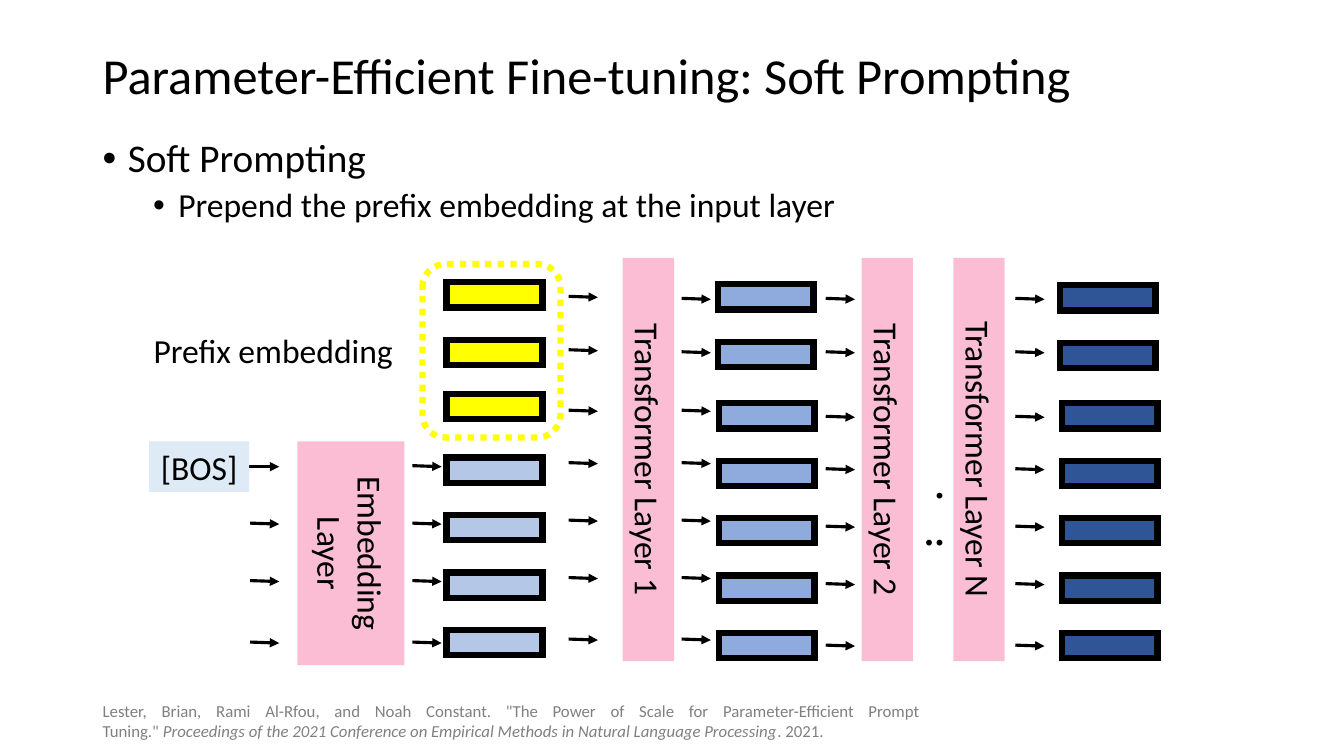
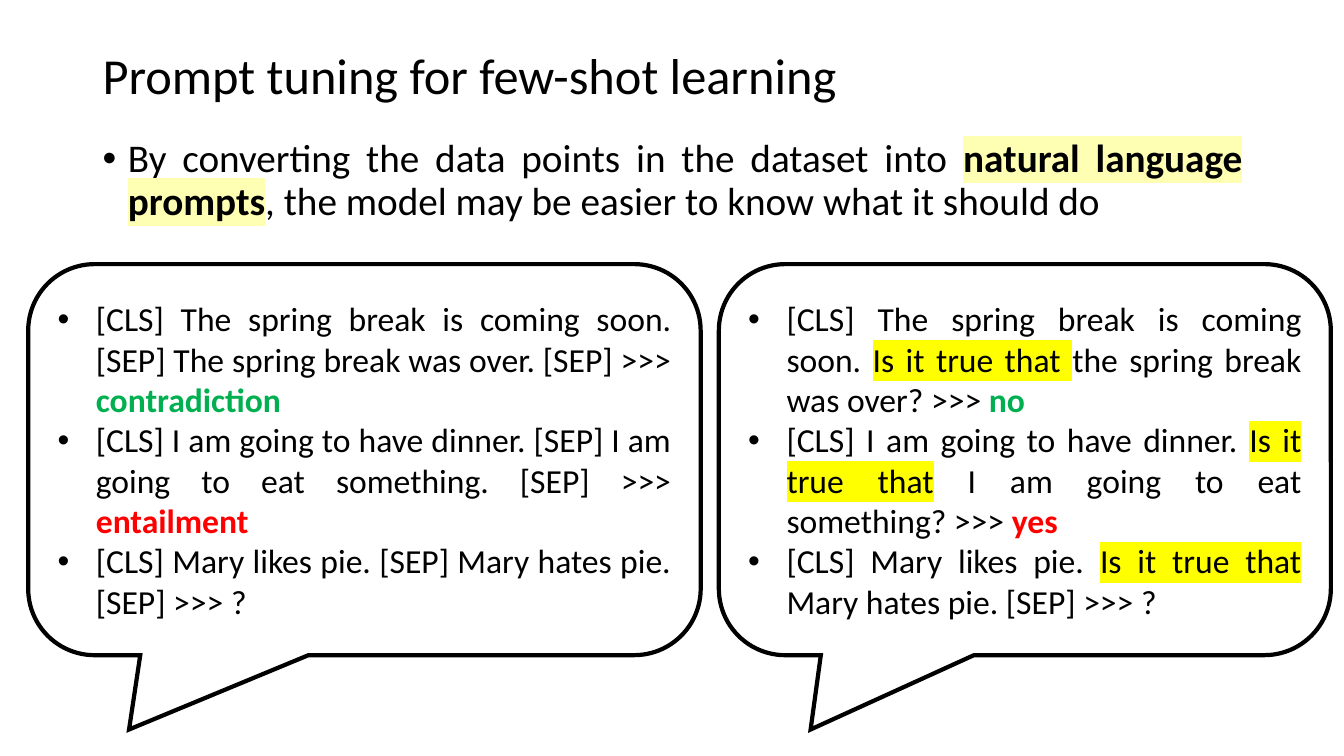
from dataclasses import dataclass

from lxml.etree import SubElement
from pptx import Presentation
from pptx.dml.color import RGBColor
from pptx.enum.dml import MSO_LINE
from pptx.enum.shapes import MSO_CONNECTOR, MSO_SHAPE
from pptx.enum.text import MSO_ANCHOR, MSO_AUTO_SIZE, PP_ALIGN
from pptx.oxml.ns import qn
from pptx.util import Inches, Pt


@dataclass(frozen=True)
class Theme:
    font: str = "Calibri"
    ink: str = "000000"
    gray: str = "808080"
    pink: str = "FBBDD3"
    yellow: str = "FFFF00"
    pale: str = "FFFFB4"
    ice: str = "DEEBF7"
    light: str = "B4C7E7"
    mid: str = "8FAADC"
    dark: str = "2F5597"
    green: str = "00B050"
    red: str = "FF0000"
    title: int = 36
    lead: int = 28
    text: int = 24
    note: int = 12
    edge: float = 4.5
    arrow: float = 2.25
    bubble: float = 3


T = Theme()
LEFT, MID, JUST = PP_ALIGN.LEFT, PP_ALIGN.CENTER, PP_ALIGN.JUSTIFY
HARD = chr(160)  # no-break space
STYLES = {
    "key": dict(bold=True, mark=T.pale),
    "ask": dict(mark=T.yellow),
    "good": dict(bold=True, color=T.green),
    "bad": dict(bold=True, color=T.red),
    "cite": dict(italic=True),
}

# A paragraph is a list of runs; a run is text or (text, style).
SOFT = {
    "title": "Parameter-Efficient Fine-tuning: Soft Prompting",
    "body": [["Soft Prompting"], ["Prepend the prefix embedding at the input layer"]],
}
CITE = [
    "Lester, Brian, Rami Al-Rfou, and Noah Constant. \"The Power of Scale for "
    "Parameter-Efficient Prompt Tuning.\"" + HARD,
    ("Proceedings of the 2021 Conference on Empirical Methods in Natural "
     "Language Processing", "cite"),
    ". 2021.",
]
# Text, centre x, centre y, length, thickness
BARS = [
    ("Embedding Layer", 3.48, 5.49, 2.22, 1.06),
    ("Transformer Layer 1", 6.43, 4.56, 4, 0.51),
    ("Transformer Layer 2", 8.8, 4.56, 4, 0.51),
    ("Transformer Layer N", 9.71, 4.56, 4, 0.51),
]
# Left, top of first cell, number of cells, colour
CELLS = [
    (4.43, 2.8, 2, T.yellow), (4.43, 3.91, 1, T.yellow), (4.43, 4.54, 4, T.light),
    (7.12, 2.82, 2, T.mid), (7.13, 4, 5, T.mid),
    (10.51, 2.83, 2, T.dark), (10.53, 4, 5, T.dark),
]
CELL_W, CELL_H, PITCH = 0.95, 0.25, 0.57
PAIR = (0, 0.53)
FIVE = (0, 0.52, 1.09, 1.66, 2.27)
FOUR = FIVE[1:]
# Left, base height, steps down from it
ARROWS = [
    (2.48, 4.1, FOUR), (4.09, 4.1, FOUR),
    (5.64, 2.94, PAIR), (5.64, 4.07, FIVE),
    (6.76, 2.96, PAIR), (6.76, 4.07, FIVE),
    (8.19, 2.96, PAIR), (8.19, 4.13, FIVE),
    (10.07, 2.96, PAIR), (10.07, 4.13, FIVE),
]
RUN, DROP = 0.29, 0.01

FEW = {
    "title": "Prompt tuning for few-shot learning",
    "body": [[
        "By converting the data points in the dataset into ",
        ("natural language prompts", "key"),
        ", the model may be easier to know what it should do",
    ]],
}
# Left, width, paragraphs
BUBBLES = [
    (0.28, 6.67, [
        ["[CLS] The spring break is coming soon. [SEP] The spring break was over. "
         "[SEP] >>> ", ("contradiction", "good")],
        ["[CLS] I am going to have dinner. [SEP] I am going to eat something. "
         "[SEP] >>> ", ("entailment", "bad")],
        ["[CLS] Mary likes pie. [SEP] Mary hates pie. [SEP] >>> ?"],
    ]),
    (7.13, 6.07, [
        ["[CLS] The spring break is coming soon. ", ("Is it true that ", "ask"),
         "the spring break was over? >>> ", ("no", "good")],
        ["[CLS] I am going to have dinner. ", ("Is it true that", "ask"),
         " I am going to eat something? >>> ", ("yes", "bad")],
        ["[CLS] Mary likes pie. ", ("Is it true that", "ask"),
         " Mary hates pie. [SEP] >>> ?"],
    ]),
]


def rgb(code):
    return RGBColor.from_string(code)


def add_run(para, text, size, color=T.ink, bold=False, italic=False, mark=None):
    run = para.add_run()
    run.text = text
    font = run.font
    font.size, font.bold, font.italic = Pt(size), bold, italic
    font.color.rgb = rgb(color)
    font.name = T.font
    if mark:
        props = font._element
        light = SubElement(props, qn("a:highlight"))
        SubElement(light, qn("a:srgbClr")).set("val", mark)
        props.find(qn("a:latin")).addprevious(light)


def add_para(frame, runs, size, align=LEFT, color=T.ink, bold=False):
    """Fill the empty first paragraph, or append one."""
    para = frame.paragraphs[0]
    if para.runs:
        para = frame.add_paragraph()
    para.alignment = align
    for part in runs:
        text, style = (part, None) if isinstance(part, str) else part
        add_run(para, text, size, **{"color": color, "bold": bold, **STYLES.get(style, {})})
    return para


def bullet(para, left, hang):
    props = para._p.get_or_add_pPr()
    props.set("marL", str(Inches(left)))
    props.set("indent", str(-Inches(hang)))
    SubElement(props, qn("a:buFont")).set("typeface", "Arial")
    SubElement(props, qn("a:buChar")).set("char", "•")


def add_box(slide, x, y, w, h, anchor=MSO_ANCHOR.TOP):
    box = slide.shapes.add_textbox(Inches(x), Inches(y), Inches(w), Inches(h))
    box.text_frame.word_wrap = True
    box.text_frame.vertical_anchor = anchor
    return box


def add_form(slide, kind, x, y, w, h, fill=None, line=None, width=0):
    """Add a preset shape; a line gets sharp corners."""
    form = slide.shapes.add_shape(kind, Inches(x), Inches(y), Inches(w), Inches(h))
    form.shadow.inherit = False
    if fill:
        form.fill.solid()
        form.fill.fore_color.rgb = rgb(fill)
    else:
        form.fill.background()
    if line:
        form.line.color.rgb = rgb(line)
        form.line.width = Pt(width)
        SubElement(form.line._get_or_add_ln(), qn("a:miter")).set("lim", "800000")
    else:
        form.line.fill.background()
    form.text_frame.word_wrap = True
    form.text_frame.vertical_anchor = MSO_ANCHOR.MIDDLE
    return form


def add_arrow(slide, x, y):
    arrow = slide.shapes.add_connector(
        MSO_CONNECTOR.STRAIGHT, Inches(x), Inches(y), Inches(x + RUN), Inches(y + DROP))
    arrow.line.color.rgb = rgb(T.ink)
    arrow.line.width = Pt(T.arrow)
    SubElement(arrow.line._get_or_add_ln(), qn("a:tailEnd")).set("type", "triangle")
    SubElement(arrow._element.spPr, qn("a:effectLst"))
    return arrow


def add_page(deck, page):
    """Add a slide with its title and bulleted lead."""
    slide = deck.slides.add_slide(deck.slide_layouts[6])
    head = add_box(slide, 0.92, 0.4, 11.5, 0.75, MSO_ANCHOR.MIDDLE)
    add_para(head.text_frame, [page["title"]], T.title).line_spacing = 0.9
    frame = add_box(slide, 0.92, 1.33, 11.5, 5.42).text_frame
    for level, runs in enumerate(page["body"]):
        para = add_para(frame, runs, T.text if level else T.lead, JUST)
        para.level = level
        para.line_spacing = 0.9
        if level:
            para.space_before = Pt(5)
        bullet(para, 0.25 + 0.5 * level, 0.25)
    return slide


def draw_soft(deck):
    slide = add_page(deck, SOFT)
    for text, x, y, w, h in BARS:
        bar = add_form(slide, MSO_SHAPE.RECTANGLE, x - w / 2, y - h / 2, w, h, T.pink)
        bar.rotation = 90
        add_para(bar.text_frame, [text], T.text, MID)

    dots = add_box(slide, 8.99, 5.23, 0.48, 0.57)
    dots.rotation = 180
    dots.text_frame.auto_size = MSO_AUTO_SIZE.SHAPE_TO_FIT_TEXT
    add_para(dots.text_frame, ["..."], T.lead, bold=True)

    for x, top, count, fill in CELLS:
        for row in range(count):
            add_form(slide, MSO_SHAPE.RECTANGLE, x, top + row * PITCH,
                     CELL_W, CELL_H, fill, T.ink, T.edge)

    arrows = [add_arrow(slide, x, top + step) for x, top, steps in ARROWS for step in steps]

    ring = add_form(slide, MSO_SHAPE.ROUNDED_RECTANGLE, 4.19, 2.62, 1.37, 1.72,
                    line=T.yellow, width=T.edge)
    ring.line.dash_style = MSO_LINE.ROUND_DOT
    start = add_form(slide, MSO_SHAPE.RECTANGLE, 1.48, 4.38, 0.99, 0.5, T.ice)
    add_para(start.text_frame, ["[BOS]"], T.text, MID)
    arrows[0].begin_connect(start, 3)

    label = add_box(slide, 1.2, 3.22, 3.02, 0.5)
    add_para(label.text_frame, ["Prefix embedding"], T.text, MID)
    foot = add_box(slide, 0.92, 6.95, 8.31, 0.4, MSO_ANCHOR.MIDDLE)
    add_para(foot.text_frame, CITE, T.note, JUST, T.gray)


def draw_few(deck):
    slide = add_page(deck, FEW)
    for x, w, paras in BUBBLES:
        bubble = add_form(slide, MSO_SHAPE.ROUNDED_RECTANGULAR_CALLOUT, x, 2.62, w, 3.88,
                          line=T.ink, width=T.bubble)
        for spot, value in enumerate((-0.35, 0.69, 0.17)):
            bubble.adjustments[spot] = value
        for runs in paras:
            bullet(add_para(bubble.text_frame, runs, T.text, JUST), 0.38, 0.38)


def main():
    deck = Presentation()
    deck.slide_width, deck.slide_height = Inches(13.33), Inches(7.5)
    draw_soft(deck)
    draw_few(deck)
    deck.save("out.pptx")


if __name__ == "__main__":
    main()
